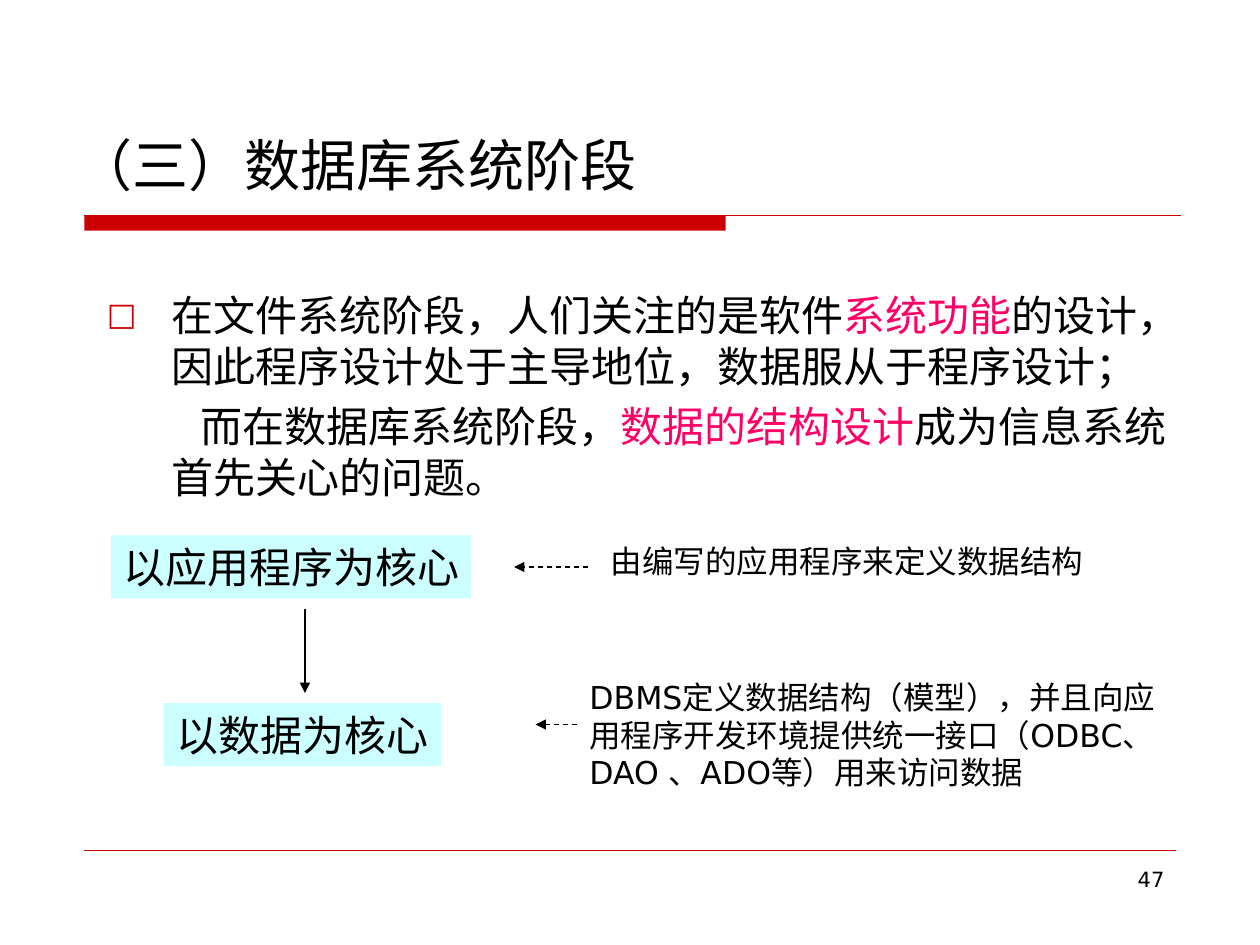
from lxml import etree
from pptx import Presentation
from pptx.dml.color import RGBColor
from pptx.enum.dml import MSO_LINE
from pptx.enum.shapes import MSO_CONNECTOR, MSO_SHAPE
from pptx.enum.text import PP_ALIGN
from pptx.oxml.ns import qn
from pptx.util import Inches, Pt

RECT, STRAIGHT = MSO_SHAPE.RECTANGLE, MSO_CONNECTOR.STRAIGHT
DASH, LEFT, RIGHT = MSO_LINE.DASH, PP_ALIGN.LEFT, PP_ALIGN.RIGHT
SANS, SERIF = "DejaVu Sans", "Times New Roman"
RED, PINK, CYAN, BLACK = "CC0000", "FF0066", "CCFFFF", "000000"

# text, (left, top, width, height), size, font, alignment
LABELS = [
    ("（三）数据库系统阶段", (0.51, 0.99, 8.5, 0.64), 32, SERIF, LEFT),
    ("由编写的应用程序来定义数据结构", (4.75, 4.25, 4.17, 0.4), 18, SANS, LEFT),
    ("DBMS定义数据结构（模型），并且向应用程序开发环境提供统一接口"
     "（ODBC、DAO 、ADO等）用来访问数据", (4.58, 5.33, 4.75, 1), 18, SANS, LEFT),
    ("47", (7.17, 6.83, 2.17, 0.52), 12, SANS, RIGHT),
]
# first-line indent, bullet, runs of (text, colour)
BODY = [
    (-0.51, "□", [("在文件系统阶段，人们关注的是软件", BLACK), ("系统功能", PINK),
                  ("的设计，因此程序设计处于主导地位，数据服从于程序设计；", BLACK)]),
    (0.23, None, [("而在数据库系统阶段，", BLACK), ("数据的结构设计", PINK),
                  ("成为信息系统首先关心的问题。", BLACK)]),
]
CORES = [
    ("以应用程序为核心", (0.88, 4.25, 2.86, 0.5)),
    ("以数据为核心", (1.3, 5.58, 2.2, 0.5)),
]
# start, end, colour, width, dashed, arrowhead
LINES = [
    ((0.67, 1.71), (9.37, 1.71), RED, 0.75, False, False),
    ((0.67, 6.75), (9.33, 6.75), RED, 0.25, False, False),
    ((2.42, 4.83), (2.42, 5.5), BLACK, 0.75, False, True),
    ((4.67, 4.5), (4.08, 4.5), BLACK, 0.75, True, True),
    ((4.58, 5.75), (4.25, 5.75), BLACK, 0.75, True, True),
]

deck = Presentation()
deck.slide_width, deck.slide_height = Inches(10), Inches(7.5)
shapes = deck.slides.add_slide(deck.slide_layouts[6]).shapes


def tint(code):
    return RGBColor.from_string(code)


def style(para, size, font=SANS, align=LEFT):
    para.alignment = align
    para.font.size, para.font.name = Pt(size), font
    para.font.color.rgb = tint(BLACK)


def add_rect(box, fill):
    rect = shapes.add_shape(RECT, *map(Inches, box))
    rect.shadow.inherit = False
    rect.fill.solid()
    rect.fill.fore_color.rgb = tint(fill)
    rect.line.fill.background()
    return rect


def add_frame(box):
    frame = shapes.add_textbox(*map(Inches, box)).text_frame
    frame.word_wrap = True
    return frame


def add_line(start, end, color, width, dashed, arrow):
    line = shapes.add_connector(STRAIGHT, *map(Inches, start + end))
    line.line.color.rgb = tint(color)
    line.line.width = Pt(width)
    if dashed:
        line.line.dash_style = DASH
    if arrow:
        etree.SubElement(line.line._get_or_add_ln(), qn("a:tailEnd"), type="triangle")
    etree.SubElement(line._element.spPr, qn("a:effectLst"))


def indent(para, first, bullet):
    """Set the hanging indent and the bullet, if there is one."""
    props = para._p.get_or_add_pPr()
    props.set("marL", str(Inches(0.51)))
    props.set("indent", str(Inches(first)))
    if bullet:
        color = etree.SubElement(props, qn("a:buClr"))
        etree.SubElement(color, qn("a:srgbClr"), val=RED)
        etree.SubElement(props, qn("a:buSzPct"), val="75000")
        etree.SubElement(props, qn("a:buFont"), typeface=SANS)
        etree.SubElement(props, qn("a:buChar"), char=bullet)
    else:
        etree.SubElement(props, qn("a:buNone"))


add_rect((0.67, 1.71, 5.09, 0.12), RED)

for text, box, size, font, align in LABELS:
    para = add_frame(box).paragraphs[0]
    para.text = text
    style(para, size, font, align)

frame = add_frame((0.75, 2.25, 8.75, 2))
for i, (first, bullet, runs) in enumerate(BODY):
    para = frame.add_paragraph() if i else frame.paragraphs[0]
    indent(para, first, bullet)
    style(para, 24)
    if i:
        para.space_before = Pt(6)
    for text, color in runs:
        run = para.add_run()
        run.text = text
        run.font.color.rgb = tint(color)

for text, box in CORES:
    frame = add_rect(box, CYAN).text_frame
    frame.word_wrap = False
    frame.paragraphs[0].text = text
    style(frame.paragraphs[0], 24)

for line in LINES:
    add_line(*line)

deck.save("out.pptx")
